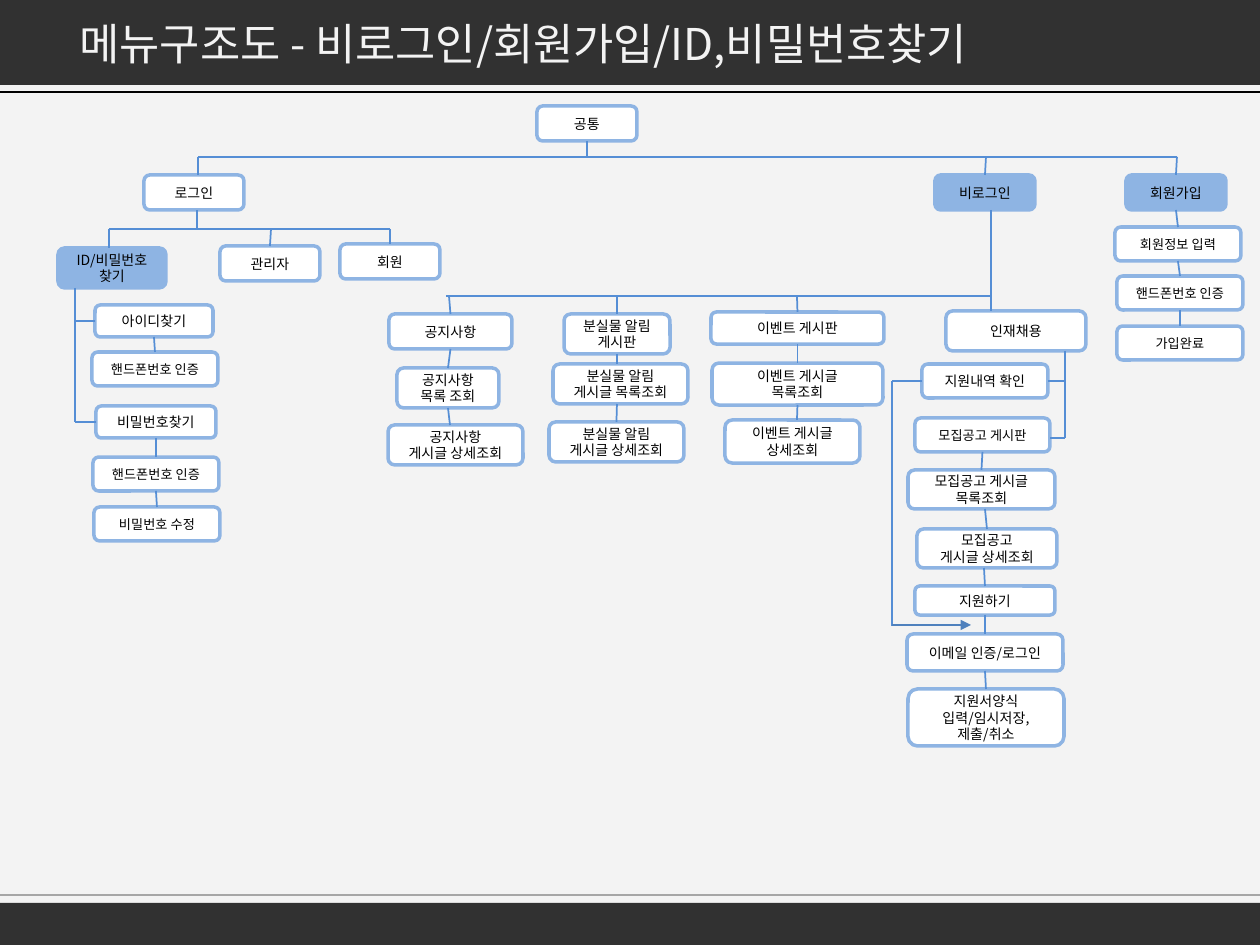
"""Build the menu structure slide as a tree of rounded boxes and connectors."""
from dataclasses import dataclass

from lxml import etree
from pptx import Presentation
from pptx import util as u
from pptx.dml.color import RGBColor
from pptx.enum import shapes, text
from pptx.oxml.ns import qn


@dataclass(frozen=True)
class Theme:
    font: str = "Noto Sans CJK KR"
    paper: str = "F3F3F3"
    bar: str = "313131"
    black: str = "000000"
    grey: str = "A6A6A6"
    white: str = "FFFFFF"
    accent: str = "8EB4E3"
    branch: str = "558ED5"
    arrow: str = "4F81BD"
    title_size: float = 25
    box_size: float = 8
    small_size: float = 7.5


theme = Theme()
PX = 914400 / 126
WIDTH, HEIGHT = 1260, 945
JOIN_DISTANCE = 2


def write(shape, lines, size, color, alignment):
    frame = shape.text_frame
    frame.word_wrap = True
    frame.auto_size = text.MSO_AUTO_SIZE.NONE
    frame.vertical_anchor = text.MSO_ANCHOR.MIDDLE
    frame.text = lines
    for paragraph in frame.paragraphs:
        paragraph.alignment = alignment
        paragraph.font.name = theme.font
        paragraph.font.size = u.Pt(size)
        paragraph.font.color.rgb = RGBColor.from_string(color)


def connect(x1, y1, x2, y2, color, points):
    line = slide.shapes.add_connector(
        shapes.MSO_CONNECTOR.STRAIGHT, *(round(n * PX) for n in (x1, y1, x2, y2)))
    line.line.color.rgb = RGBColor.from_string(color)
    line.line.width = u.Pt(points)
    etree.SubElement(line.element.spPr, qn("a:effectLst"))
    return line


presentation = Presentation()
presentation.slide_width = round(WIDTH * PX)
presentation.slide_height = round(HEIGHT * PX)
slide = presentation.slides.add_slide(presentation.slide_layouts[5])
slide.background.fill.solid()
slide.background.fill.fore_color.rgb = RGBColor.from_string(theme.paper)

for top, height in ((0, 85), (903, 42)):
    bar = slide.shapes.add_shape(
        shapes.MSO_SHAPE.RECTANGLE, 0, round(top * PX), round(WIDTH * PX), round(height * PX))
    bar.shadow.inherit = False
    bar.fill.solid()
    bar.fill.fore_color.rgb = RGBColor.from_string(theme.bar)
    bar.line.fill.background()
connect(0, 92, WIDTH, 92, theme.black, 0.75)
connect(0, 895, WIDTH, 895, theme.grey, 0.75)

title = slide.shapes.title
title.left, title.top, title.width, title.height = (round(n * PX) for n in (67, 10, 1048, 66))
write(title, "메뉴구조도 - 비로그인/회원가입/ID,비밀번호찾기",
      theme.title_size, theme.paper, text.PP_ALIGN.LEFT)
title.element.getparent().append(title.element)

menu_boxes = [
    ("공통", 537, 106, 100, 35),
    ("로그인", 144, 175, 100, 35),
    ("비로그인", 935, 175, 100, 35),
    ("회원가입", 1126, 175, 100, 35),
    ("회원", 340, 244, 100, 35),
    ("관리자", 220, 246, 100, 35),
    ("ID/비밀번호 찾기", 58, 248, 108, 40),
    ("아이디찾기", 95, 305, 118, 32),
    ("핸드폰번호 인증", 92, 352, 126, 34),
    ("비밀번호찾기", 96, 406, 120, 32),
    ("핸드폰번호 인증", 93, 457, 126, 34),
    ("비밀번호 수정", 94, 507, 126, 34),
    ("회원정보 입력", 1115, 227, 126, 34),
    ("핸드폰번호 인증", 1117, 276, 126, 34),
    ("가입완료", 1117, 326, 126, 34),
    ("공지사항", 389, 314, 123, 35),
    ("공지사항 목록 조회", 397, 368, 102, 40),
    ("공지사항\n게시글 상세조회", 388, 425, 135, 40),
    ("분실물 알림\n게시판", 564, 314, 106, 40),
    ("분실물 알림\n게시글 목록조회", 553, 364, 135, 40),
    ("분실물 알림\n게시글 상세조회", 549, 422, 135, 40),
    ("이벤트 게시판", 711, 312, 173, 32),
    ("이벤트 게시글\n목록조회", 712, 363, 171, 42),
    ("이벤트 게시글\n상세조회", 725, 420, 135, 43),
    ("인재채용", 946, 311, 140, 40),
    ("지원내역 확인", 922, 364, 126, 34),
    ("모집공고 게시판", 915, 418, 135, 34),
    ("모집공고 게시글\n목록조회", 908, 470, 147, 39),
    ("모집공고\n게시글 상세조회", 917, 529, 140, 39),
    ("지원하기", 915, 586, 140, 29),
    ("이메일 인증/로그인", 907, 634, 156, 37),
    ("지원서양식\n입력/임시저장,\n제출/취소", 908, 689, 156, 57),
]
highlighted = {"비로그인", "회원가입", "ID/비밀번호 찾기"}
small = {"핸드폰번호 인증", "비밀번호 수정", "회원정보 입력", "가입완료", "모집공고 게시판"}

side_middles = []
for label, left, top, width, height in menu_boxes:
    box = slide.shapes.add_shape(
        shapes.MSO_SHAPE.ROUNDED_RECTANGLE, *(round(n * PX) for n in (left, top, width, height)))
    box.shadow.inherit = False
    box.fill.solid()
    box.fill.fore_color.rgb = RGBColor.from_string(
        theme.accent if label in highlighted else theme.white)
    box.line.color.rgb = RGBColor.from_string(theme.accent)
    box.line.width = u.Pt(2)
    write(box, label, theme.small_size if label in small else theme.box_size,
          theme.black, text.PP_ALIGN.CENTER)
    center, middle = left + width / 2, top + height / 2
    sides = ((center, top), (left, middle), (center, top + height), (left + width, middle))
    side_middles += [(box, site, x, y) for site, (x, y) in enumerate(sides)]

branches = [
    (587, 141, 587, 157), (198, 157, 1177, 157), (198, 157, 198, 175),
    (986, 157, 986, 175), (1177, 157, 1177, 175),
    (197, 210, 197, 229), (109, 229, 390, 229), (109, 229, 109, 248),
    (271, 229, 271, 246), (390, 229, 390, 244),
    (75, 288, 75, 422), (75, 321, 95, 321), (75, 422, 96, 422),
    (154, 337, 154, 352), (156, 438, 156, 457), (156, 491, 156, 507),
    (1176, 210, 1176, 227), (1178, 261, 1179, 276), (1180, 310, 1180, 326),
    (991, 210, 991, 311), (446, 296, 990, 296),
    (449, 296, 449, 314), (450, 349, 449, 368), (449, 408, 450, 425),
    (617, 296, 617, 314), (617, 354, 617, 364), (617, 404, 617, 422),
    (797, 296, 797, 312), (797, 344, 797, 363), (797, 405, 797, 420),
    (1065, 351, 1065, 438), (1065, 381, 1048, 381), (1065, 438, 1050, 438),
    (922, 381, 892, 381), (892, 381, 892, 626),
    (982, 452, 982, 470), (985, 509, 985, 529), (984, 568, 984, 586),
    (984, 615, 984, 634), (985, 671, 985, 689),
]
for x1, y1, x2, y2 in branches:
    branch = connect(x1, y1, x2, y2, theme.branch, 1)
    for box, site, x, y in side_middles:
        if max(abs(x - x1), abs(y - y1)) <= JOIN_DISTANCE:
            branch.begin_connect(box, site)
        if max(abs(x - x2), abs(y - y2)) <= JOIN_DISTANCE:
            branch.end_connect(box, site)

arrow = connect(892, 625, 971, 625, theme.arrow, 0.75)
etree.SubElement(arrow.line._get_or_add_ln(), qn("a:tailEnd"), type="triangle")

for latin in list(slide.element.iter(qn("a:latin"))):
    east_asian = etree.Element(qn("a:ea"), typeface=theme.font)
    latin.addnext(east_asian)

presentation.save("out.pptx")
